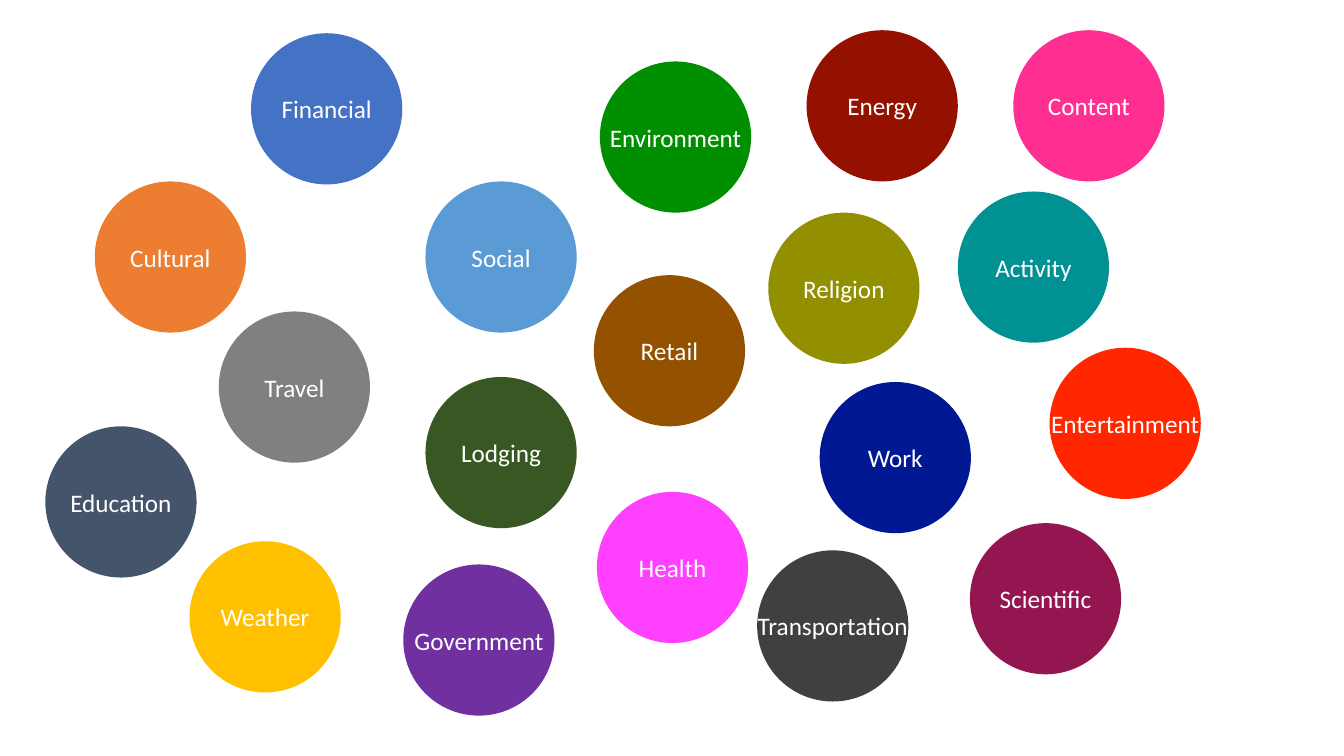
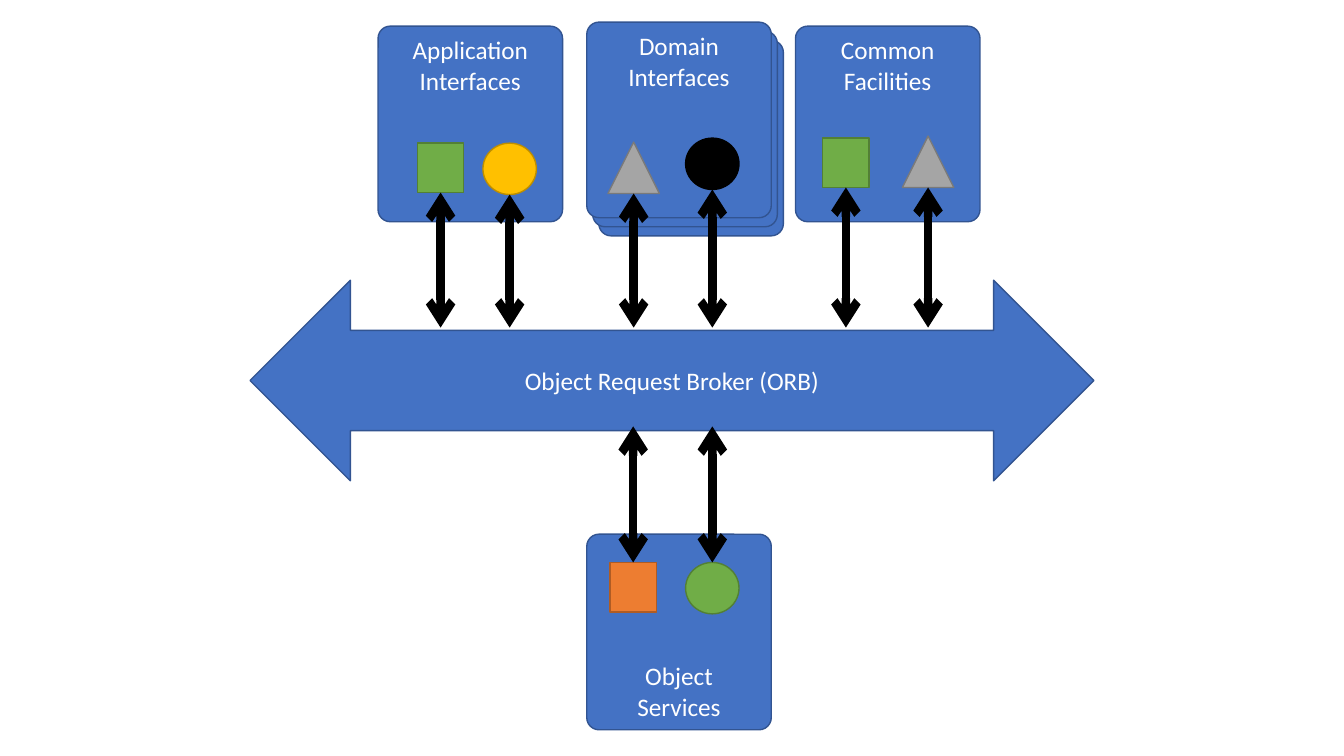
from dataclasses import dataclass

from lxml import etree
from pptx import Presentation
from pptx.dml.color import RGBColor
from pptx.enum import shapes, text
from pptx.oxml import ns
from pptx.util import Inches, Pt

SHAPE = shapes.MSO_SHAPE
ANCHOR = text.MSO_ANCHOR


@dataclass(frozen=True)
class Theme:
    font: str = "Calibri"
    size: int = 18
    text: str = "FFFFFF"
    panel: tuple = ("4472C4", "325491")
    green: tuple = ("70AD47", "538035")
    gold: tuple = ("FFC000", "BD8E00")
    gray: tuple = ("A5A5A5", "7A7A7A")
    orange: tuple = ("ED7D31", "AF5C24")
    black: tuple = ("000000", "000000")
    outline: float = 1
    arrow: float = 6


THEME = Theme()

TOPIC_SIZE = 1.5
TOPICS = [  # label, left, top, fill
    ("Financial", 2.49, 0.33, "4472C4"),
    ("Social", 4.22, 1.8, "5B9BD5"),
    ("Travel", 2.17, 3.09, "808080"),
    ("Lodging", 4.22, 3.74, "385723"),
    ("Work", 8.13, 3.79, "011893"),
    ("Religion", 7.62, 2.11, "929000"),
    ("Content", 10.05, 0.3, "FF2F92"),
    ("Entertainment", 10.41, 3.45, "FF2600"),
    ("Environment", 5.95, 0.61, "008F00"),
    ("Health", 5.92, 4.88, "FF40FF"),
    ("Weather", 1.88, 5.37, "FFC000"),
    ("Scientific", 9.62, 5.19, "941651"),
    ("Cultural", 0.94, 1.8, "ED7D31"),
    ("Government", 4, 5.6, "7030A0"),
    ("Education", 0.45, 4.23, "44546A"),
    ("Retail", 5.89, 2.73, "945200"),
    ("Energy", 8, 0.3, "941100"),
    ("Activity", 9.5, 1.9, "009193"),
    ("Transportation", 7.51, 5.46, "404040"),
]

PANEL_W, PANEL_H = 1.83, 1.94
PANEL_LEFT, PANEL_PITCH = 3.75, 2.07
BUS_TOP, BUS_BOTTOM = 3.25, 4.23  # where arrows meet the broker
ICON_SIZE = {
    SHAPE.RECTANGLE: (0.46, 0.49),
    SHAPE.OVAL: (0.53, 0.51),
    SHAPE.ISOSCELES_TRIANGLE: (0.51, 0.51),
}


def add_box(s, kind, x, y, w, h, fill, line=None):
    sp = s.shapes.add_shape(kind, Inches(x), Inches(y), Inches(w), Inches(h))
    sp.shadow.inherit = False
    sp.fill.solid()
    sp.fill.fore_color.rgb = RGBColor.from_string(fill)
    if line:
        sp.line.color.rgb = RGBColor.from_string(line)
        sp.line.width = Pt(THEME.outline)
    else:
        sp.line.fill.background()
    return sp


def set_label(sp, label, anchor=ANCHOR.MIDDLE, wrap=True):
    tf = sp.text_frame
    tf.text = label
    tf.word_wrap = wrap
    tf.vertical_anchor = anchor
    for p in tf.paragraphs:
        p.alignment = text.PP_ALIGN.CENTER
        for r in p.runs:
            r.font.name = THEME.font
            r.font.size = Pt(THEME.size)
            r.font.color.rgb = RGBColor.from_string(THEME.text)


def add_arrow(s, x, y1, y2):
    """Draw a vertical two-headed arrow."""
    cx = s.shapes.add_connector(shapes.MSO_CONNECTOR.STRAIGHT,
                                Inches(x), Inches(y1), Inches(x), Inches(y2))
    cx.line.color.rgb = RGBColor.from_string(THEME.black[0])
    cx.line.width = Pt(THEME.arrow)
    ln = cx.line._get_or_add_ln()
    for end in ("a:headEnd", "a:tailEnd"):
        etree.SubElement(ln, ns.qn(end), type="arrow")
    etree.SubElement(cx._element.spPr, ns.qn("a:effectLst"))
    return cx


def add_icon(s, kind, x, y, colors, above_bus):
    """Place an icon and the arrow that ties it to the broker."""
    w, h = ICON_SIZE[kind]
    icon = add_box(s, kind, x, y, w, h, *colors)
    center = x + w / 2
    if above_bus:
        cx = add_arrow(s, center, y + h, BUS_TOP)
    else:
        cx = add_arrow(s, center, BUS_BOTTOM, y)
    if kind == SHAPE.RECTANGLE:
        if above_bus:
            cx.begin_connect(icon, 2)
        else:
            cx.end_connect(icon, 0)


def add_panel(s, x, y, label, icons, above_bus=True, stacked=0):
    """Draw a panel, with stacked copies behind it; icons are offset from its corner."""
    for depth in range(stacked, -1, -1):
        panel = add_box(s, SHAPE.ROUNDED_RECTANGLE, x + 0.06 * depth,
                        y + 0.09 * depth, PANEL_W, PANEL_H, *THEME.panel)
        panel.adjustments[0] = 0.066
    set_label(panel, label, ANCHOR.TOP if above_bus else ANCHOR.BOTTOM)
    for kind, dx, dy, colors in icons:
        add_icon(s, kind, x + dx, y + dy, colors, above_bus)


def build_topics(s):
    for label, x, y, fill in TOPICS:
        circle = add_box(s, SHAPE.OVAL, x, y, TOPIC_SIZE, TOPIC_SIZE, fill)
        set_label(circle, label, wrap=False)


def build_broker(s):
    bus = add_box(s, SHAPE.LEFT_RIGHT_ARROW, 2.48, 2.78, 8.37, 1.99, *THEME.panel)
    set_label(bus, "Object Request Broker (ORB)")
    square, circle, triangle = ICON_SIZE
    app_x, domain_x, common_x = (PANEL_LEFT + i * PANEL_PITCH for i in range(3))
    add_panel(s, app_x, 0.26, "Application\nInterfaces",
              [(square, 0.39, 1.16, THEME.green), (circle, 1.04, 1.16, THEME.gold)])
    add_panel(s, domain_x, 0.22, "Domain\nInterfaces",
              [(triangle, 0.21, 1.19, THEME.gray), (circle, 0.98, 1.15, THEME.black)],
              stacked=2)
    add_panel(s, common_x, 0.26, "Common\nFacilities",
              [(square, 0.27, 1.11, THEME.green), (triangle, 1.06, 1.09, THEME.gray)])
    add_panel(s, domain_x, 5.3, "Object\nServices",
              [(square, 0.23, 0.28, THEME.orange), (circle, 0.98, 0.28, THEME.green)],
              above_bus=False)


def main():
    prs = Presentation()
    prs.slide_width, prs.slide_height = Inches(13.33), Inches(7.5)
    blank = prs.slide_layouts[6]
    for build in (build_topics, build_broker):
        build(prs.slides.add_slide(blank))
    prs.save("out.pptx")


if __name__ == "__main__":
    main()
